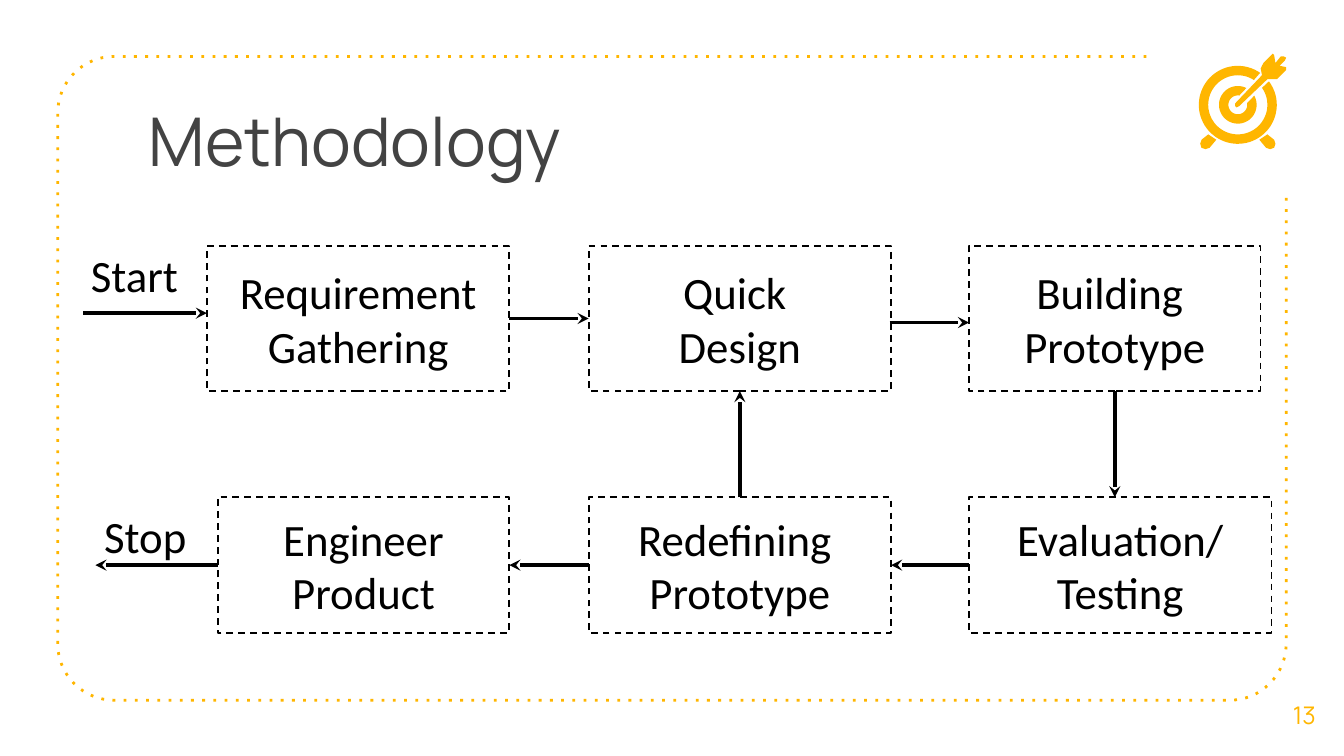
"""Build the Methodology slide: a prototyping flowchart in a dotted frame."""
from dataclasses import dataclass
from math import cos, radians, sin
from typing import Optional

from lxml.etree import SubElement
from pptx import Presentation
from pptx.dml.color import RGBColor
from pptx.enum.dml import MSO_LINE
from pptx.enum.shapes import MSO_CONNECTOR, MSO_SHAPE
from pptx.enum.text import MSO_ANCHOR, PP_ALIGN
from pptx.oxml.ns import qn
from pptx.util import Inches, Pt

COLORS = {"accent": "FFB600", "title": "434343", "ink": "000000", "paper": "FFFFFF"}
TITLE_FONT = {"name": "Manrope", "size": Pt(36)}
NUMBER_FONT = {"name": "Manrope", "size": Pt(13)}
BODY_FONT = {"name": "Calibri", "size": Pt(24)}
TOP, BOTTOM, LEFT, RIGHT = 0, 2, 1, 3
COL2, COL3 = 4.38, 7.21
ROW1, ROW2 = 1.83, 3.7
WIDE, NARROW = 2.25, 2.17
H1, H2 = 1.08, 1.01
MID2 = ROW2 + H2 / 2
DOWN_X = COL3 + NARROW / 2

Point = tuple[float, float]
Site = Optional[tuple[str, int]]


@dataclass
class Box:
    name: str
    lines: list[str]
    x: float
    y: float
    w: float
    h: float
    outlined: bool = True


@dataclass
class Arrow:
    start: Point
    end: Point
    begin_site: Site = None
    end_site: Site = None


BOXES = [
    Box("quick", ["Quick ", "Design"], COL2, ROW1, WIDE, H1),
    Box("gathering", ["Requirement Gathering"], 1.54, ROW1, WIDE, H1),
    Box("building", ["Building ", "Prototype"], COL3, ROW1, NARROW, H1),
    Box("testing", ["Evaluation/ Testing"], COL3, ROW2, WIDE, H2),
    Box("redefining", ["Redefining ", "Prototype"], COL2, ROW2, WIDE, H2),
    Box("engineer", ["Engineer", "Product"], 1.62, ROW2, NARROW, H2),
]
ARROWS = [
    Arrow((3.79, 2.37), (COL2, 2.37), ("gathering", RIGHT), ("quick", LEFT)),
    Arrow((6.62, 2.4), (COL3, 2.4)),
    Arrow((DOWN_X, 2.91), (DOWN_X, ROW2), ("building", BOTTOM)),
    Arrow((COL3, MID2), (6.63, MID2), ("testing", LEFT), ("redefining", RIGHT)),
    Arrow((COL2, MID2), (3.79, MID2), ("redefining", LEFT), ("engineer", RIGHT)),
    Arrow((1.62, MID2), (0.71, MID2), ("engineer", LEFT)),
    Arrow((5.5, ROW2), (5.5, 2.91), ("redefining", TOP), ("quick", BOTTOM)),
    Arrow((0.62, 2.33), (1.54, 2.33)),
]
LABELS = [
    Box("start", ["Start"], 0.54, 1.9, 0.92, 0.29, False),
    Box("stop", ["Stop"], 0.62, 3.84, 0.92, 0.29, False),
]

TARGET = (9.21, 0.78)
FOOT = [(8.99, 1), (8.94, 1.04), (8.93, 1.07), (8.94, 1.1), (8.97, 1.11),
        (9, 1.1), (9.05, 1.04), (9.02, 1.02)]
DART = [(9.47, 0.4), (9.4, 0.47), (9.39, 0.49), (9.38, 0.51), (9.39, 0.56),
        (9.19, 0.77), (9.19, 0.79), (9.2, 0.8), (9.22, 0.79), (9.43, 0.59),
        (9.47, 0.59), (9.5, 0.59), (9.57, 0.52), (9.57, 0.5), (9.52, 0.49),
        (9.56, 0.45), (9.57, 0.43), (9.55, 0.42), (9.53, 0.42), (9.49, 0.47),
        (9.48, 0.41)]


def color(name: str) -> RGBColor:
    return RGBColor.from_string(COLORS[name])


def arc(center: Point, radius: float, first: float, last: float, steps: int) -> list[Point]:
    angles = [radians(first + (last - first) * i / steps) for i in range(steps + 1)]
    return [(center[0] + radius * cos(a), center[1] + radius * sin(a)) for a in angles]


def ring(outer: float, outer_gap: float, inner: float, inner_gap: float) -> list[Point]:
    mid = -46
    return (arc(TARGET, outer, mid + outer_gap, mid + 360 - outer_gap, 72)
            + arc(TARGET, inner, mid + 360 - inner_gap, mid + inner_gap, 72))


def add_outline(s, points: list[Point], close: bool = True):
    pts = [(Inches(x), Inches(y)) for x, y in points]
    fb = s.shapes.build_freeform(*pts[0])
    fb.add_line_segments(pts[1:], close=close)
    sp = fb.convert_to_shape()
    sp.shadow.inherit = False
    return sp


def add_frame(s) -> None:
    rad, left, right, top, bottom = 0.42, 0.43, 9.57, 0.42, 5.21
    points = ([(8.53, top)]
              + arc((left + rad, top + rad), rad, 270, 180, 16)
              + arc((left + rad, bottom - rad), rad, 180, 90, 16)
              + arc((right - rad, bottom - rad), rad, 90, 0, 16)
              + [(right, 1.46)])
    sp = add_outline(s, points, close=False)
    sp.fill.background()
    sp.line.color.rgb = color("accent")
    sp.line.width = Pt(1.5)
    sp.line.dash_style = MSO_LINE.ROUND_DOT
    next(sp._element.iter(qn("a:prstDash"))).set("val", "dot")


def add_icon(s) -> None:
    mirrored = [(2 * TARGET[0] - x, y) for x, y in FOOT]
    parts = [ring(0.29, 9, 0.22, 11), ring(0.14, 17, 0.07, 35), FOOT, mirrored, DART]
    for points in parts:
        sp = add_outline(s, points)
        sp.fill.solid()
        sp.fill.fore_color.rgb = color("accent")
        sp.line.fill.background()


def write(sp, lines: list[str], font: dict, ink: str, layout: dict, align: PP_ALIGN) -> None:
    tf = sp.text_frame
    for key, value in layout.items():
        setattr(tf, key, value)
    for i, line in enumerate(lines):
        p = tf.paragraphs[0] if i == 0 else tf.add_paragraph()
        p.alignment = align
        r = p.add_run()
        r.text = line
        for key, value in font.items():
            setattr(r.font, key, value)
        r.font.color.rgb = color(ink)


def margins(vertical: float, anchor: MSO_ANCHOR) -> dict:
    return {"word_wrap": True, "vertical_anchor": anchor,
            "margin_left": Inches(0.1), "margin_right": Inches(0.1),
            "margin_top": Inches(vertical), "margin_bottom": Inches(vertical)}


def add_text(s, text: str, at: tuple, font: dict, ink: str,
             anchor: MSO_ANCHOR, align: PP_ALIGN) -> None:
    sp = s.shapes.add_textbox(*map(Inches, at))
    write(sp, [text], font, ink, margins(0.1, anchor), align)


def add_box(s, box: Box):
    sp = s.shapes.add_shape(MSO_SHAPE.RECTANGLE, *map(Inches, (box.x, box.y, box.w, box.h)))
    sp.shadow.inherit = False
    sp.fill.solid()
    sp.fill.fore_color.rgb = color("paper")
    if box.outlined:
        sp.line.color.rgb = color("ink")
        sp.line.width = Pt(0.9)
        sp.line.dash_style = MSO_LINE.DASH
    else:
        sp.line.fill.background()
    write(sp, box.lines, BODY_FONT, "ink", margins(0.05, MSO_ANCHOR.MIDDLE), PP_ALIGN.CENTER)
    return sp


def add_arrow(s, arrow: Arrow, shapes: dict) -> None:
    cx = s.shapes.add_connector(MSO_CONNECTOR.STRAIGHT, *map(Inches, arrow.start + arrow.end))
    for site, join in ((arrow.begin_site, cx.begin_connect), (arrow.end_site, cx.end_connect)):
        if site:
            join(shapes[site[0]], site[1])
    cx.line.color.rgb = color("ink")
    cx.line.width = Pt(2)
    SubElement(cx.line._get_or_add_ln(), qn("a:tailEnd"), type="stealth")
    SubElement(cx._element.spPr, qn("a:effectLst"))


def main() -> None:
    prs = Presentation()
    prs.slide_width, prs.slide_height = Inches(10), Inches(10 * 9 / 16)
    s = prs.slides.add_slide(prs.slide_layouts[6])
    add_frame(s)
    add_text(s, "Methodology", (1.01, 0.64, 3.49, 0.9), TITLE_FONT, "title",
             MSO_ANCHOR.TOP, PP_ALIGN.LEFT)
    add_text(s, "13", (9.41, 5.02, 0.59, 0.6), NUMBER_FONT, "accent",
             MSO_ANCHOR.MIDDLE, PP_ALIGN.CENTER)
    add_icon(s)
    shapes = {box.name: add_box(s, box) for box in BOXES}
    for arrow in ARROWS:
        add_arrow(s, arrow, shapes)
    for label in LABELS:
        add_box(s, label)
    prs.save("out.pptx")


if __name__ == "__main__":
    main()
